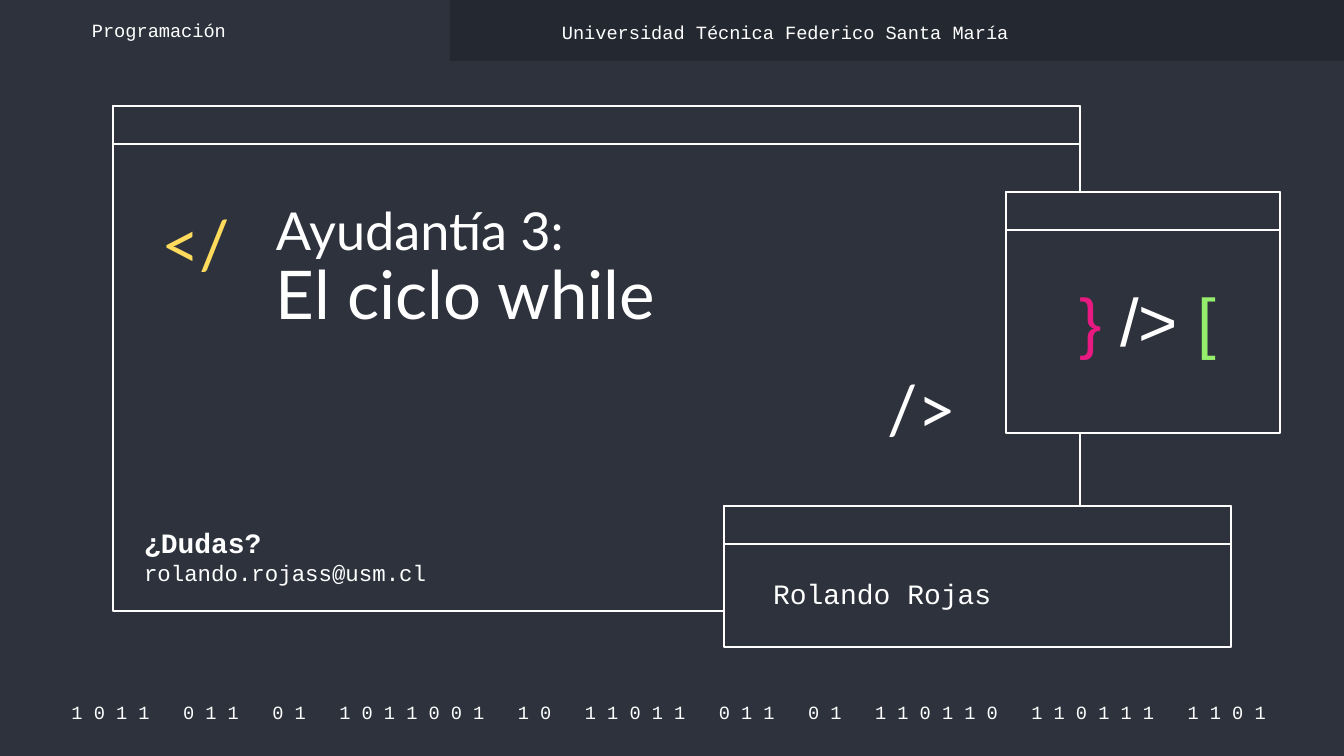
from copy import deepcopy

from pptx import Presentation
from pptx.dml.color import RGBColor
from pptx.enum.shapes import MSO_SHAPE
from pptx.enum.text import MSO_ANCHOR, MSO_AUTO_SIZE, PP_ALIGN
from pptx.util import Pt

RECT = MSO_SHAPE.RECTANGLE
TOP, MID = MSO_ANCHOR.TOP, MSO_ANCHOR.MIDDLE
LEFT, CENTER = PP_ALIGN.LEFT, PP_ALIGN.CENTER
FIXED = MSO_AUTO_SIZE.NONE
PX = 914400 / 134.4
DARK, DEEP, WHITE = "2D323C", "242830", "FFFFFF"
YELLOW, PINK, GREEN = "FFDB5D", "E81981", "94EE6B"
MONO, SANS = "Courier New", "Lato"


def px(*vals):
    """Turn pixel lengths into EMU."""
    return [round(v * PX) for v in vals]


def write(text, at, shape=None, size=10, color=WHITE, font=MONO,
          align=LEFT, anchor=MID, lead=None):
    """Write a string, or paragraphs made of (text, format) runs.

    A run that ends with a newline is followed by a line break.
    """
    shape = shape or slide.shapes.add_textbox(0, 0, 0, 0)
    shape.left, shape.top, shape.width, shape.height = px(*at)
    frame = shape.text_frame
    frame.word_wrap, frame.auto_size = True, FIXED
    frame.vertical_anchor = anchor
    frame.margin_left, frame.margin_top, frame.margin_right, frame.margin_bottom = px(13, 13, 13, 13)
    paras = [[(text, {})]] if isinstance(text, str) else text
    for i, runs in enumerate(paras):
        para = frame.add_paragraph() if i else frame.paragraphs[0]
        para.alignment = align
        if lead:
            para.line_spacing = lead
        for part, form in runs:
            run = para.add_run()
            run.text = part.rstrip("\n")
            run.font.name = font
            run.font.size = Pt(form.get("size", size))
            run.font.bold = form.get("bold", False)
            run.font.color.rgb = RGBColor.from_string(form.get("color", color))
            if part.endswith("\n"):
                para.add_line_break()
                para._p[-1].append(deepcopy(run.font._element))


prs = Presentation()
prs.slide_width, prs.slide_height = px(1344, 756)
slide = prs.slides.add_slide(prs.slide_layouts[5])
slide.background.fill.solid()
slide.background.fill.fore_color.rgb = RGBColor.from_string(DARK)

# Binary footer and header band
write("1 0 1 1   0 1 1   0 1   1 0 1 1 0 0 1   1 0   1 1 0 1 1   0 1 1   0 1   "
      "1 1 0 1 1 0   1 1 0 1 1 1   1 1 0 1 ", (51, 699, 1246, 27), align=CENTER)
boxes = [(450, 0, 894, 61, DEEP, None)]

# Each window is a frame with a bar along its top
for x, y, w, h in [(113, 106, 967, 505), (724, 506, 507, 141), (1006, 192, 274, 241)]:
    boxes += [(x, y, w, h, DARK, WHITE), (x, y, w, 38, DARK, WHITE)]

for x, y, w, h, fill, line in boxes:
    box = slide.shapes.add_shape(RECT, *px(x, y, w, h))
    box.shadow.inherit = False
    box.fill.solid()
    box.fill.fore_color.rgb = RGBColor.from_string(fill)
    if line:
        box.line.color.rgb = RGBColor.from_string(line)
        box.line.width = Pt(0.75)
    else:
        box.line.fill.background()

# Code signs
write("</", (148, 203, 103, 89), size=36, font=SANS, color=YELLOW, lead=0.9)
write("/>", (874, 368, 103, 89), size=36, font=SANS, lead=0.9)
write([[("}", {"color": PINK}), (" /> ", {}), ("[", {"color": GREEN})]],
      (1058, 275, 179, 110), size=36, font="Arial", align=CENTER, anchor=TOP, lead=0.9)

# Title, raised above the windows
title = slide.shapes.title
slide.shapes._spTree.append(title._element)
write([[("Ayudantía 3:\n", {"size": 28}), ("El ciclo while", {"size": 36})]],
      (263, 192, 610, 246), shape=title, font=SANS, anchor=TOP, lead=0.9)

# Author, header and contact
write("Rolando Rojas", (760, 554, 448, 78), size=15)
write("Programación", (79, 17, 294, 27))
write("Universidad Técnica Federico Santa María", (549, 17, 732, 31))
write([[("¿Dudas?", {"size": 15, "bold": True})], [("rolando.rojass@usm.cl", {"size": 12})]],
      (131, 513, 484, 89), anchor=TOP)

prs.save("out.pptx")
